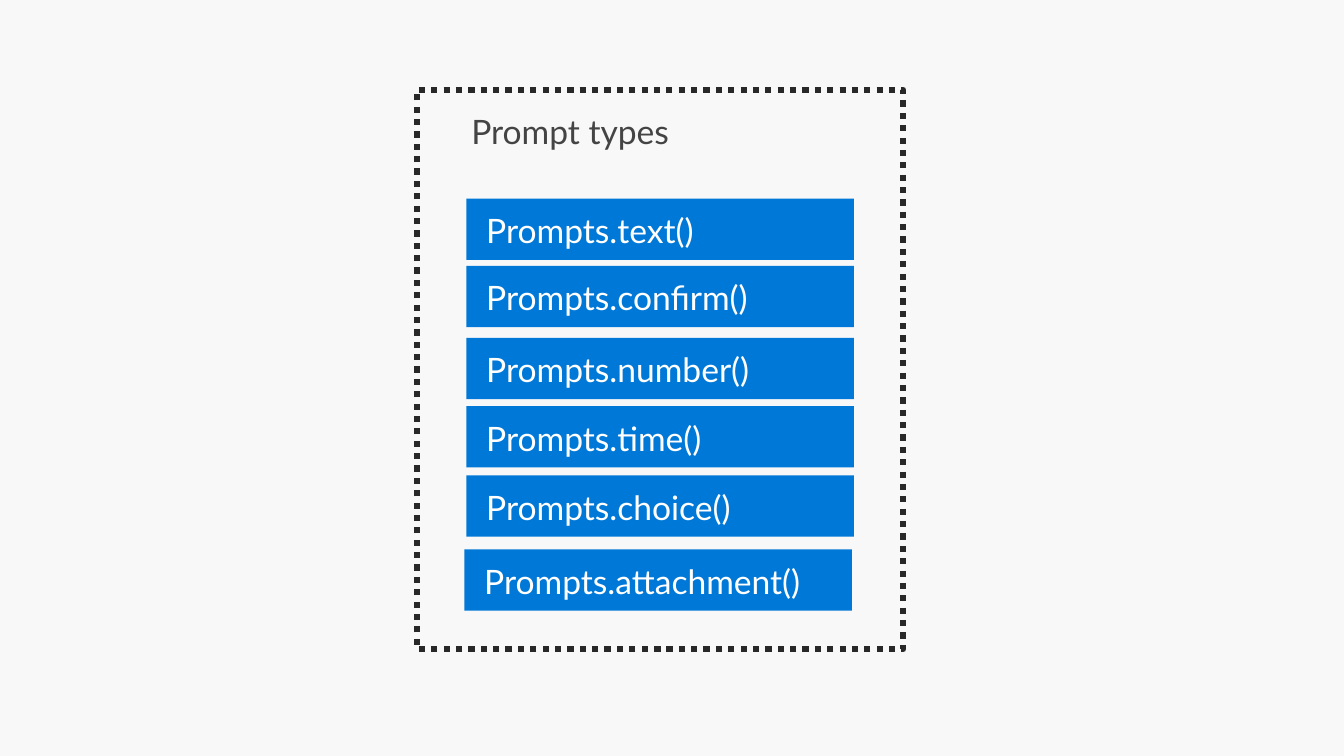
from dataclasses import dataclass
from pptx import Presentation
from pptx.dml.color import RGBColor
from pptx.enum.dml import MSO_LINE
from pptx.enum.shapes import MSO_SHAPE
from pptx.enum.text import MSO_ANCHOR, MSO_AUTO_SIZE, PP_ALIGN
from pptx.util import Inches, Pt


@dataclass(frozen=True)
class Theme:
    back: RGBColor = RGBColor.from_string("F8F8F8")
    frame: RGBColor = RGBColor.from_string("282828")
    bar: RGBColor = RGBColor.from_string("0078D7")
    title: RGBColor = RGBColor.from_string("444444")
    label: RGBColor = RGBColor.from_string("FFFFFF")
    font: str = "Lato"
    size: float = 24.5
    border: float = 4.5


theme = Theme()


def write(shape, text, color, align):
    """Put one styled line at the top of the shape."""
    box = shape.text_frame
    box.word_wrap = True
    box.auto_size = MSO_AUTO_SIZE.NONE
    box.vertical_anchor = MSO_ANCHOR.TOP
    box.margin_left = box.margin_right = Inches(0.2)
    box.margin_top = box.margin_bottom = Inches(0.16)
    line = box.paragraphs[0]
    line.alignment = align
    line.line_spacing = 0.9
    line.space_before = Pt(0)
    run = line.add_run()
    run.text = text
    run.font.name = theme.font
    run.font.size = Pt(theme.size)
    run.font.color.rgb = color


def block(left, top, width, height):
    """Add a plain rectangle without a shadow, sized in inches."""
    lengths = [Inches(n) for n in (left, top, width, height)]
    shape = slide.shapes.add_shape(MSO_SHAPE.RECTANGLE, *lengths)
    shape.shadow.inherit = False
    return shape


deck = Presentation()
deck.slide_width, deck.slide_height = Inches(13.6), Inches(7.65)
slide = deck.slides.add_slide(deck.slide_layouts.get_by_name("Title Only"))
slide.background.fill.solid()
slide.background.fill.fore_color.rgb = theme.back

# Dotted frame and its heading share a left edge
edge = 4.22
frame = block(edge, 0.91, 4.92, 5.66)
frame.fill.background()
frame.line.color.rgb = theme.frame
frame.line.width = Pt(theme.border)
frame.line.dash_style = MSO_LINE.ROUND_DOT

title = slide.shapes.title
title.left, title.top = Inches(edge), Inches(1.01)
title.width, title.height = Inches(3.1), Inches(0.86)
write(title, "Prompt types", theme.title, PP_ALIGN.CENTER)

# Stack of prompt bars: name, left, top
column = edge + 0.5
prompts = [
    ("text", column, 2.01),
    ("confirm", column, 2.69),
    ("number", column, 3.42),
    ("time", column, 4.11),
    ("choice", column, 4.81),
    ("attachment", column - 0.02, 5.56),
]
for name, left, top in prompts:
    bar = block(left, top, 3.92, 0.62)
    bar.fill.solid()
    bar.fill.fore_color.rgb = theme.bar
    bar.line.fill.background()
    write(bar, f"Prompts.{name}()", theme.label, PP_ALIGN.LEFT)

deck.save("out.pptx")
